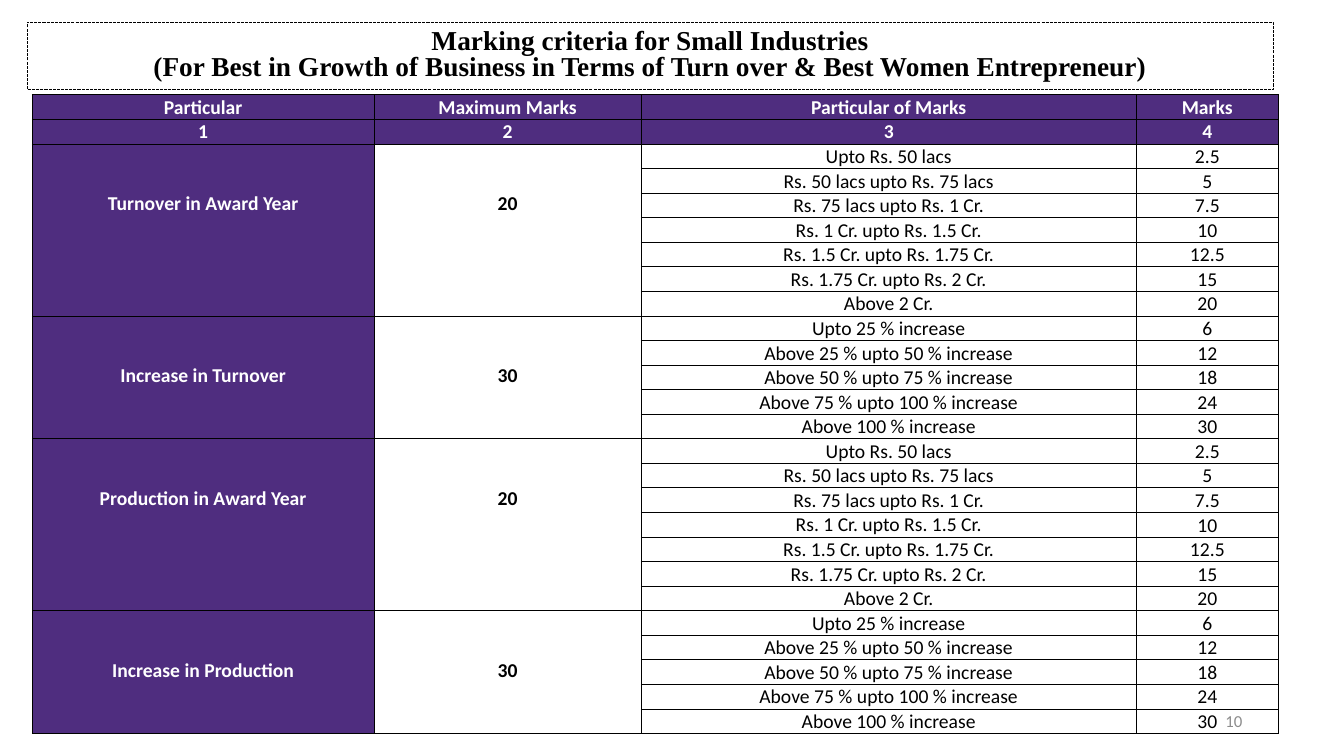
from lxml import etree
from pptx import Presentation
from pptx.dml.color import RGBColor
from pptx.enum import dml, shapes, text
from pptx.oxml import ns
from pptx.util import Inches, Pt

PURPLE = RGBColor(0x4F, 0x2D, 0x7F)
WHITE = RGBColor(0xFF, 0xFF, 0xFF)
BLACK = RGBColor(0, 0, 0)
GREY = RGBColor(0x8C, 0x8C, 0x8C)

TITLE_LINES = [
    "Marking criteria for Small Industries",
    "(For Best in Growth of Business in Terms of Turn over & Best Women Entrepreneur)",
]
HEADERS = [
    ["Particular", "Maximum Marks", "Particular of Marks", "Marks"],
    ["1", "2", "3", "4"],
]
AMOUNT_BANDS = [
    ("Upto Rs. 50 lacs", "2.5"),
    ("Rs. 50 lacs upto Rs. 75 lacs", "5"),
    ("Rs. 75 lacs upto Rs. 1 Cr.", "7.5"),
    ("Rs. 1 Cr. upto Rs. 1.5 Cr.", "10"),
    ("Rs. 1.5 Cr. upto Rs. 1.75 Cr.", "12.5"),
    ("Rs. 1.75 Cr. upto Rs. 2 Cr.", "15"),
    ("Above 2 Cr.", "20"),
]
INCREASE_BANDS = [
    ("Upto 25 % increase", "6"),
    ("Above 25 % upto 50 % increase", "12"),
    ("Above 50 % upto 75 % increase", "18"),
    ("Above 75 % upto 100 % increase", "24"),
    ("Above 100 % increase", "30"),
]
CRITERIA = [
    ("Turnover in Award Year", "20", AMOUNT_BANDS),
    ("Increase in Turnover", "30", INCREASE_BANDS),
    ("Production in Award Year", "20", AMOUNT_BANDS),
    ("Increase in Production", "30", INCREASE_BANDS),
]
COLUMN_WIDTHS = [3.39, 2.65, 4.91, 1.41]
TOP_INSET = 0.01
GROUP_INSET = 0.48  # group labels start two lines down


def add_run(paragraph, words, size, color, bold=False, font="Calibri"):
    run = paragraph.add_run()
    run.text = words
    run.font.name = font
    run.font.size = Pt(size)
    run.font.bold = bold
    run.font.color.rgb = color


def add_borders(cell):
    properties = cell._tc.get_or_add_tcPr()
    for side in ("a:lnL", "a:lnR", "a:lnT", "a:lnB"):
        border = etree.SubElement(properties, ns.qn(side), w=str(Pt(0.5)))
        fill = etree.SubElement(border, ns.qn("a:solidFill"))
        etree.SubElement(fill, ns.qn("a:srgbClr"), val=str(BLACK))


def fill_cell(cell, words, color=BLACK, bold=False, top=TOP_INSET,
              anchor=text.MSO_ANCHOR.TOP):
    cell.margin_left = cell.margin_right = Inches(0.01)
    cell.margin_top, cell.margin_bottom = Inches(top), 0
    cell.vertical_anchor = anchor
    paragraph = cell.text_frame.paragraphs[0]
    paragraph.alignment = text.PP_ALIGN.CENTER
    add_run(paragraph, words, 14, color, bold)


def add_page_number(slide, left, top, width, height):
    frame = slide.shapes.add_textbox(left, top, width, height).text_frame
    frame.word_wrap = True
    frame.vertical_anchor = text.MSO_ANCHOR.MIDDLE
    paragraph = frame.paragraphs[0]
    paragraph.alignment = text.PP_ALIGN.RIGHT
    add_run(paragraph, "10", 12, GREY)


def add_criteria_table(slide, left, top, width, height):
    row_count = len(HEADERS) + sum(len(bands) for _, _, bands in CRITERIA)
    table = slide.shapes.add_table(
        row_count, len(COLUMN_WIDTHS), left, top, width, height).table
    table.first_row = table.horz_banding = False
    for column, column_width in zip(table.columns, COLUMN_WIDTHS):
        column.width = Inches(column_width)
    for row in table.rows:
        row.height = height // row_count

    # Borders and fills: purple headers and first column
    for r in range(row_count):
        for c in range(len(COLUMN_WIDTHS)):
            cell = table.cell(r, c)
            add_borders(cell)
            if r < len(HEADERS) or c == 0:
                cell.fill.solid()
                cell.fill.fore_color.rgb = PURPLE
            else:
                cell.fill.background()

    # Header rows
    for r, labels in enumerate(HEADERS):
        for c, label in enumerate(labels):
            fill_cell(table.cell(r, c), label, WHITE, True)

    # One group of rows per criterion
    first = len(HEADERS)
    for criterion, maximum, bands in CRITERIA:
        last = first + len(bands) - 1
        for c, (label, color) in enumerate([(criterion, WHITE), (maximum, BLACK)]):
            table.cell(first, c).merge(table.cell(last, c))
            fill_cell(table.cell(first, c), label, color, True, GROUP_INSET)
        for r, (band, marks) in enumerate(bands, first):
            fill_cell(table.cell(r, 2), band, anchor=text.MSO_ANCHOR.BOTTOM)
            fill_cell(table.cell(r, 3), marks)
        first = last + 1


def add_title(slide, left, top, width, height):
    title = slide.shapes.add_shape(
        shapes.MSO_SHAPE.RECTANGLE, left, top, width, height)
    title.shadow.inherit = False
    title.fill.background()
    title.line.color.rgb = BLACK
    title.line.width = Pt(0.75)
    title.line.dash_style = dml.MSO_LINE.SQUARE_DOT
    frame = title.text_frame
    frame.word_wrap = True
    frame.vertical_anchor = text.MSO_ANCHOR.MIDDLE
    for i, line in enumerate(TITLE_LINES):
        paragraph = frame.add_paragraph() if i else frame.paragraphs[0]
        paragraph.alignment = text.PP_ALIGN.CENTER
        paragraph.line_spacing = 0.8
        add_run(paragraph, line, 19.5, BLACK, True, "Times New Roman")
    # The second line sits slightly left of centre
    paragraph._p.get_or_add_pPr().set("indent", str(Inches(-0.14)))


def main():
    deck = Presentation()
    deck.slide_width, deck.slide_height = Inches(13.33), Inches(7.5)
    slide = deck.slides.add_slide(deck.slide_layouts[6])
    add_page_number(slide, Inches(9.42), Inches(6.95), Inches(3), Inches(0.4))
    add_criteria_table(slide, Inches(0.32), Inches(0.94), Inches(12.36), Inches(6.34))
    add_title(slide, Inches(0.27), Inches(0.22), Inches(12.36), Inches(0.67))
    deck.save("out.pptx")


if __name__ == "__main__":
    main()
